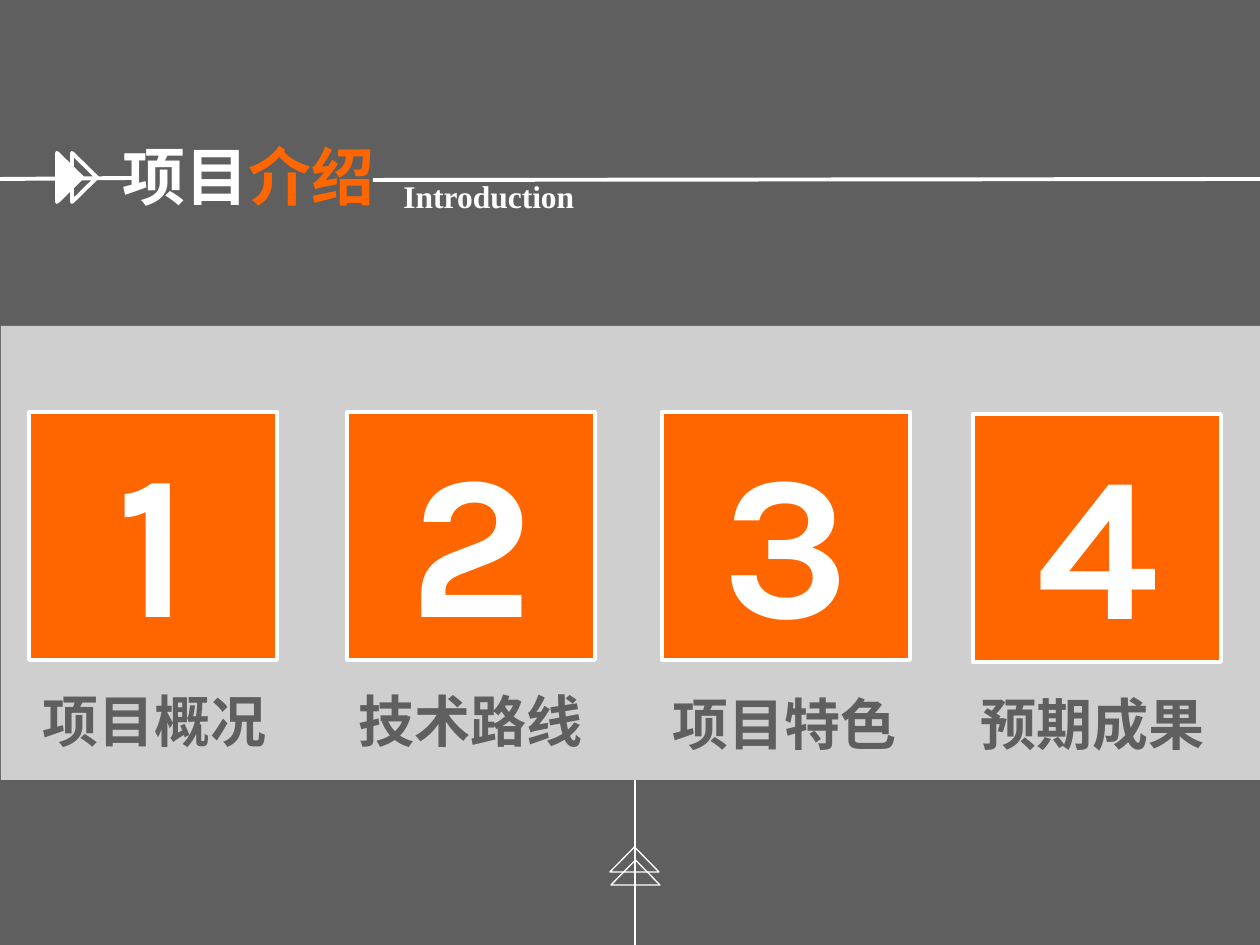
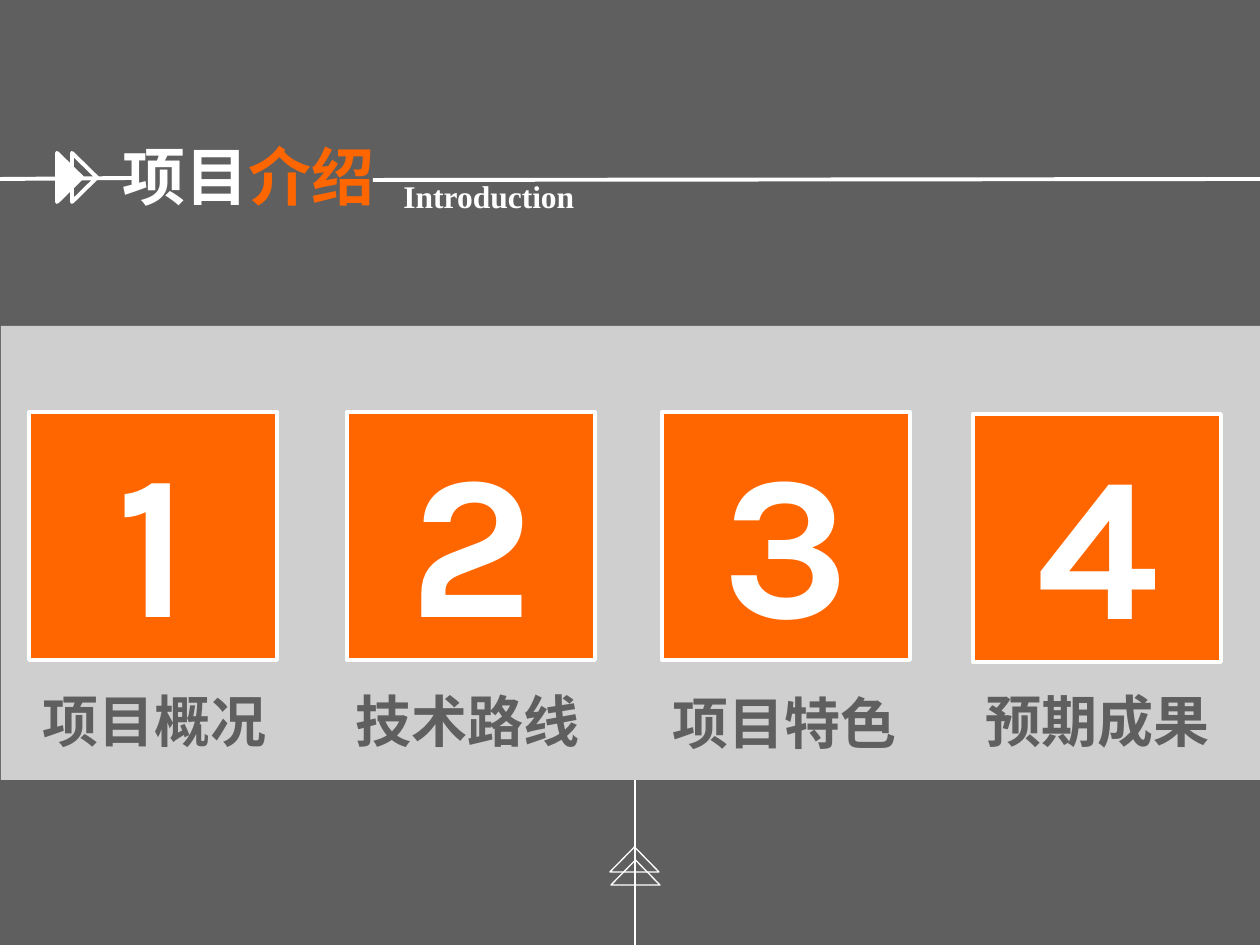
from lxml import etree
from pptx import Presentation
from pptx.dml.color import RGBColor
from pptx.enum.shapes import MSO_CONNECTOR, MSO_SHAPE
from pptx.enum.text import MSO_ANCHOR, MSO_AUTO_SIZE, PP_ALIGN
from pptx.oxml.ns import qn
from pptx.util import Emu, Pt

RECTANGLE, TRIANGLE = MSO_SHAPE.RECTANGLE, MSO_SHAPE.ISOSCELES_TRIANGLE
PROCESS = MSO_SHAPE.FLOWCHART_PROCESS
STRAIGHT = MSO_CONNECTOR.STRAIGHT
TOP, MIDDLE = MSO_ANCHOR.TOP, MSO_ANCHOR.MIDDLE
LEFT, CENTER = PP_ALIGN.LEFT, PP_ALIGN.CENTER
NO_FIT = MSO_AUTO_SIZE.NONE

GREY, WHITE, ORANGE = "5F5F5F", "FFFFFF", "FF6600"
HEADING_FONT, NUMBER_FONT, ENGLISH_FONT = "Arial", "Karla", "Times New Roman"
THIN, THICK = 0.75, 2.25
PAGE_WIDTH, PAGE_HEIGHT = 1260, 945
TILE_SIZE = 248
TITLE_ONLY = 5

TILES = [(28, 86), (346, 86), (661, 86), (972, 88)]
LABELS = ["项目概况", "技术路线", "项目特色", "预期成果"]
LABEL_WIDTHS = [266, 258, 280, 280]
LABEL_PLACES = [
    [(29, 354), (345, 354), (659, 357), (967, 357)],
    [(29, 354), (342, 354), (659, 356), (972, 354)],
]


def px(length):
    """Turn pixels into EMU."""
    return Emu(round(length * 914400 / 126))


def color(code):
    """Turn a hex string into a colour."""
    return RGBColor.from_string(code)


def add_figure(page, kind, box, fill=None, line=None, weight=THIN):
    """Add a preset shape with a plain fill and outline."""
    shape = page.shapes.add_shape(kind, *map(px, box))
    shape.shadow.inherit = False
    if fill:
        shape.fill.solid()
        shape.fill.fore_color.rgb = color(fill)
    else:
        shape.fill.background()
    if line:
        shape.line.color.rgb = color(line)
        shape.line.width = Pt(weight)
    else:
        shape.line.fill.background()
    return shape


def add_line(page, start, end, weight):
    """Add a white straight line between two points."""
    line = page.shapes.add_connector(STRAIGHT, *map(px, start + end))
    line.line.color.rgb = color(WHITE)
    line.line.width = Pt(weight)
    etree.SubElement(line._element.spPr, qn("a:effectLst"))


def write(shape, spans, font, size, align=LEFT, anchor=TOP, wrap=True):
    """Write one bold paragraph of coloured spans into a shape."""
    frame = shape.text_frame
    frame.word_wrap = wrap
    frame.auto_size = NO_FIT
    frame.vertical_anchor = anchor
    para = frame.paragraphs[0]
    para.alignment = align
    para.font.name, para.font.size, para.font.bold = font, Pt(size), True
    for text, code in spans:
        span = para.add_run()
        span.text = text
        span.font.color.rgb = color(code)


def add_header(page, left, top):
    """Place the title, its English subtitle and the arrow line."""
    title = page.shapes.title
    title.left, title.top = px(left + 110), px(top)
    title.width, title.height = px(580), px(88)
    write(title, [("项目", WHITE), ("介绍", ORANGE)], HEADING_FONT, 36)
    add_line(page, (left, top + 48), (left + 132, top + 47), THICK)
    for offset, fill in [(45, WHITE), (60, None)]:
        box = (left + offset, top + 34, 49, 25)
        add_figure(page, TRIANGLE, box, fill, WHITE, THICK).rotation = 90
    add_line(page, (left + 373, top + 49), (left + PAGE_WIDTH, top + 48), THICK)
    subtitle = page.shapes.add_textbox(*map(px, (left + 391, top + 40, 334, 50)))
    write(subtitle, [("Introduction", WHITE)], ENGLISH_FONT, 18)


def add_topics(page, left, top, label_places):
    """Place the pale band with its numbered tiles and labels."""
    band = add_figure(page, PROCESS, (left, top, PAGE_WIDTH - left, 454), WHITE)
    fill_color = band._element.spPr.find(qn("a:solidFill"))[0]
    etree.SubElement(fill_color, qn("a:alpha"), val="70000")
    topics = zip(TILES, LABELS, LABEL_WIDTHS, label_places)
    for number, ((x, y), text, width, place) in enumerate(topics, 1):
        box = (left + x, top + y, TILE_SIZE, TILE_SIZE)
        tile = add_figure(page, RECTANGLE, box, ORANGE, WHITE, THICK)
        write(tile, [(str(number), WHITE)], NUMBER_FONT, 117, CENTER, MIDDLE, False)
        box = (left + place[0], top + place[1], width, 81)
        label = page.shapes.add_textbox(*map(px, box))
        write(label, [(text, GREY)], HEADING_FONT, 32)


def add_footer(page, center, top):
    """Place the upright line with its two arrowheads."""
    add_line(page, (center, PAGE_HEIGHT), (center, top), THIN)
    for x, y in [(-25, 67), (-24, 80)]:
        add_figure(page, TRIANGLE, (center + x, top + y, 49, 25), line=WHITE)


def add_page(deck, label_places):
    """Build one introduction slide."""
    page = deck.slides.add_slide(deck.slide_layouts[TITLE_ONLY])
    page.background.fill.solid()
    page.background.fill.fore_color.rgb = color(GREY)
    add_topics(page, 1, 326, label_places)
    add_footer(page, 635, 780)
    add_header(page, 0, 131)


def main():
    """Build and save the deck."""
    deck = Presentation()
    deck.slide_width, deck.slide_height = px(PAGE_WIDTH), px(PAGE_HEIGHT)
    for label_places in LABEL_PLACES:
        add_page(deck, label_places)
    deck.save("out.pptx")


if __name__ == "__main__":
    main()
